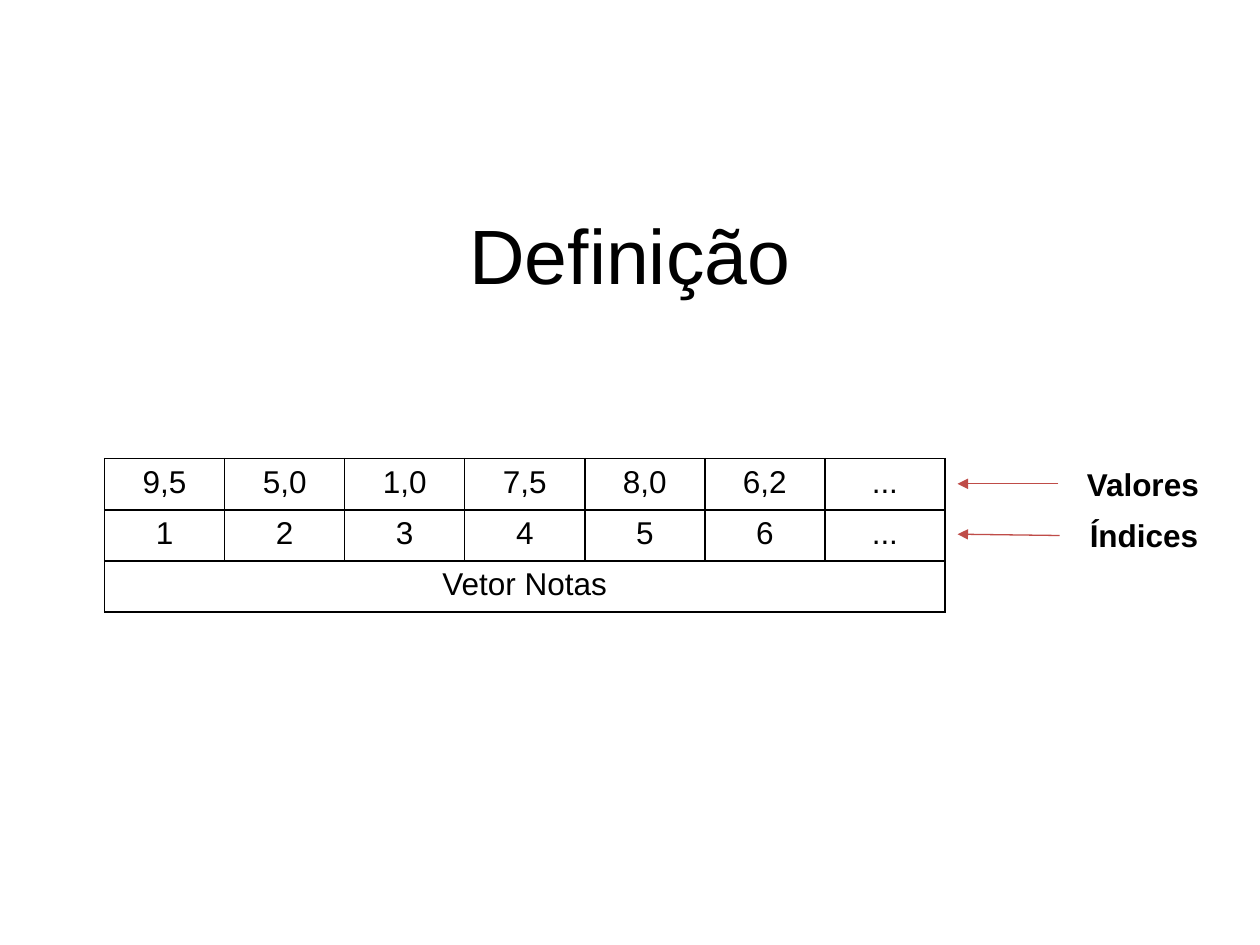
from lxml import etree
from pptx import Presentation
from pptx.dml.color import RGBColor
from pptx.enum import shapes, text
from pptx.oxml import ns
from pptx.util import Inches, Pt

BLACK = RGBColor(0x00, 0x00, 0x00)
RED = RGBColor(0xBF, 0x4C, 0x48)

prs = Presentation()
prs.slide_width, prs.slide_height = Inches(10), Inches(7.5)
s = prs.slides.add_slide(prs.slide_layouts[5])


def write(tf, words, size, bold=False):
    """Put one centred line of text in a frame."""
    p = tf.paragraphs[0]
    p.alignment = text.PP_ALIGN.CENTER
    r = p.add_run()
    r.text = words
    for name, value in {"name": "Arial", "size": Pt(size), "bold": bold}.items():
        setattr(r.font, name, value)
    r.font.color.rgb = BLACK
    return p


def add_xml(parent, tag, **attrs):
    return etree.SubElement(parent, ns.qn(tag), **attrs)


# Title
title = s.shapes.title
box = {"left": 0.75, "top": 1.37, "width": 8.5, "height": 1.38}
for name, value in box.items():
    setattr(title, name, Inches(value))
tf = title.text_frame
for side in ("left", "top", "right", "bottom"):
    setattr(tf, f"margin_{side}", 0)
tf.vertical_anchor = text.MSO_ANCHOR.MIDDLE
tf.word_wrap = True
write(tf, "Definição", 44).line_spacing = 0.9

# Table: values, indices and the vector's name
rows = [
    ["9,5", "5,0", "1,0", "7,5", "8,0", "6,2", "..."],
    ["1", "2", "3", "4", "5", "6", "..."],
    ["Vetor Notas"],
]
table = s.shapes.add_table(3, 7, Inches(0.83), Inches(3.64),
                           Inches(6.67), Inches(1.22)).table
table.first_row = table.horz_banding = False
table.cell(2, 0).merge(table.cell(2, 6))
for row in table.rows:
    row.height = Inches(1.22 / 3)
for cell in table.iter_cells():
    tc_pr = cell._tc.get_or_add_tcPr()
    for edge in ("a:lnL", "a:lnR", "a:lnT", "a:lnB"):
        ln = add_xml(tc_pr, edge, w=str(Pt(1)))
        add_xml(add_xml(ln, "a:solidFill"), "a:srgbClr", val=str(BLACK))
    cell.fill.background()
for i, row in enumerate(rows):
    for j, words in enumerate(row):
        write(table.cell(i, j).text_frame, words, 18)

# Row labels with arrows pointing to the table
labels = [("Valores", 8.4, 3.64, 3.84, 3.84), ("Índices", 8.41, 4.05, 4.25, 4.24)]
for words, left, top, start_y, end_y in labels:
    sp = s.shapes.add_textbox(Inches(left), Inches(top), Inches(1.34), Inches(0.4))
    sp.text_frame.word_wrap = True
    sp.text_frame.auto_size = text.MSO_AUTO_SIZE.SHAPE_TO_FIT_TEXT
    write(sp.text_frame, words, 18, bold=True)

    arrow = s.shapes.add_connector(shapes.MSO_CONNECTOR.STRAIGHT, Inches(left),
                                   Inches(start_y), Inches(7.6), Inches(end_y))
    arrow.line.color.rgb = RED
    arrow.line.width = Pt(0.75)
    add_xml(arrow.line._get_or_add_ln(), "a:tailEnd", type="triangle")
    add_xml(arrow._element.spPr, "a:effectLst")

prs.save("out.pptx")
